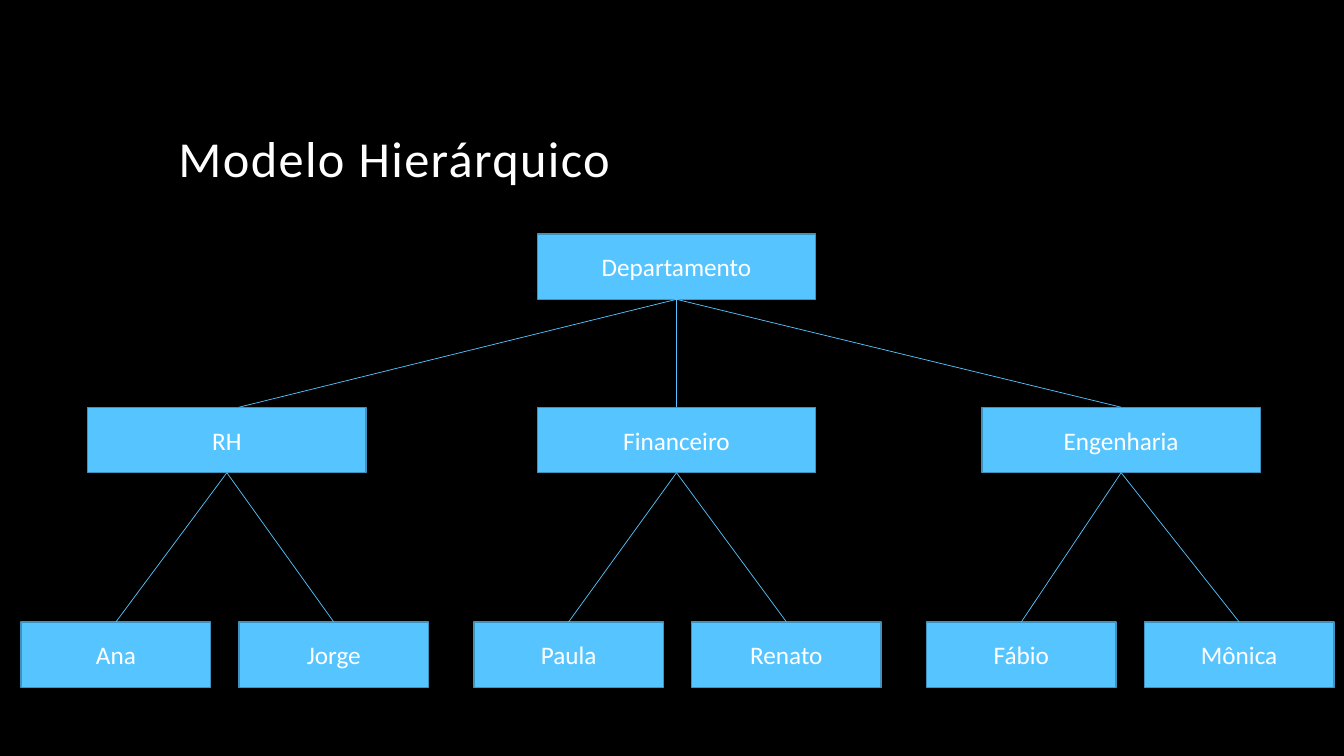
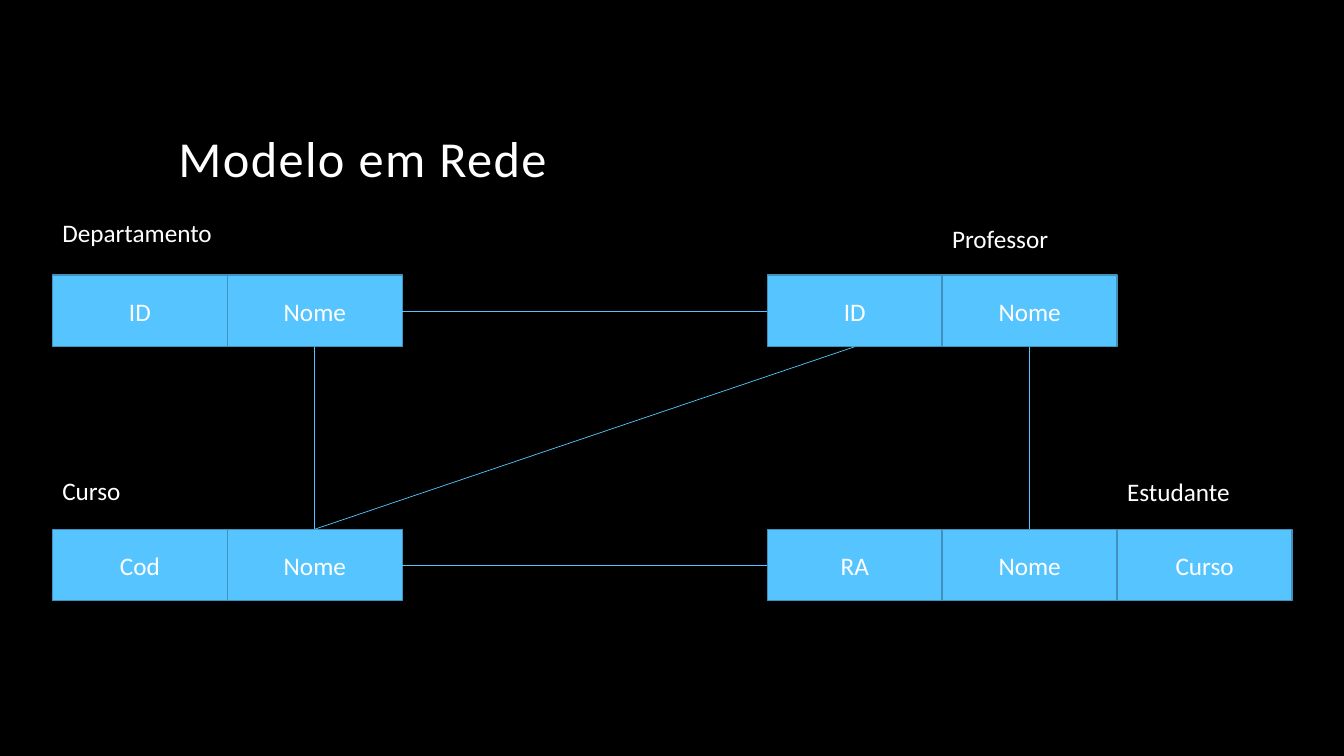
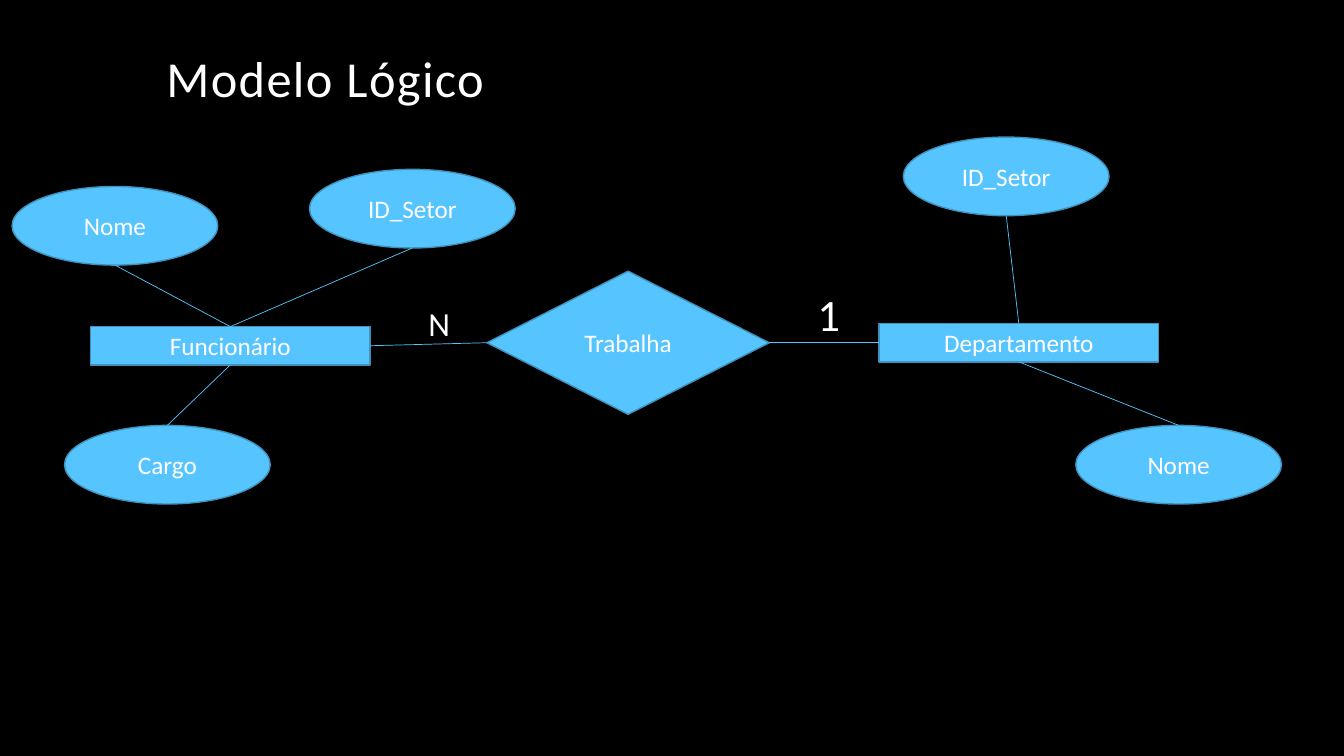
from dataclasses import dataclass

from lxml import etree
from pptx import Presentation
from pptx.dml.color import RGBColor
from pptx.enum import shapes as kinds, text as txt
from pptx.oxml.ns import qn
from pptx.util import Inches, Pt

TOP, LEFT, BOTTOM, RIGHT = range(4)
RECT = kinds.MSO_SHAPE.RECTANGLE
OVAL = kinds.MSO_SHAPE.OVAL
DECISION = kinds.MSO_SHAPE.FLOWCHART_DECISION


@dataclass(frozen=True)
class Theme:
    background: RGBColor = RGBColor.from_string("000000")
    ink: RGBColor = RGBColor.from_string("FFFFFF")
    node: RGBColor = RGBColor.from_string("56C5FF")
    outline: RGBColor = RGBColor.from_string("4092BD")
    font: str = "Calibri"
    title_size: int = 36
    body_size: int = 18
    outline_width: float = 1
    link_width: float = 0.5
    title_box: tuple = (1.67, 0.42, 10, 1.5)


THEME = Theme()


def apply(target, **values):
    for name, value in values.items():
        setattr(target, name, value)


def write(frame, words, size, align=txt.PP_ALIGN.LEFT,
          anchor=txt.MSO_ANCHOR.TOP, wrap=True):
    """Fill a text frame with one styled run and return that run."""
    apply(frame, word_wrap=wrap, vertical_anchor=anchor)
    paragraph = frame.paragraphs[0]
    paragraph.alignment = align
    run = paragraph.add_run()
    run.text = words
    apply(run.font, name=THEME.font, size=Pt(size))
    run.font.color.rgb = THEME.ink
    return run


def titled_slide(deck, words, box=THEME.title_box):
    slide = deck.slides.add_slide(deck.slide_layouts.get_by_name("Title Only"))
    title = slide.shapes.title
    apply(title, **dict(zip(("left", "top", "width", "height"), map(Inches, box))))
    run = write(title.text_frame, words, THEME.title_size,
                anchor=txt.MSO_ANCHOR.BOTTOM)
    run.font._element.set("spc", "100")
    title.text_frame.auto_size = txt.MSO_AUTO_SIZE.NONE
    title.text_frame.paragraphs[0].line_spacing = 0.9
    return slide


def add_node(slide, words, box, kind=RECT):
    node = slide.shapes.add_shape(kind, *map(Inches, box))
    node.shadow.inherit = False
    node.fill.solid()
    node.fill.fore_color.rgb = THEME.node
    node.line.color.rgb = THEME.outline
    node.line.width = Pt(THEME.outline_width)
    write(node.text_frame, words, THEME.body_size,
          txt.PP_ALIGN.CENTER, txt.MSO_ANCHOR.MIDDLE)
    return node


def add_label(slide, words, box, size=THEME.body_size, wrap=True):
    label = slide.shapes.add_textbox(*map(Inches, box))
    write(label.text_frame, words, size, wrap=wrap)
    label.text_frame.auto_size = txt.MSO_AUTO_SIZE.SHAPE_TO_FIT_TEXT


def side_point(node, side):
    across = {LEFT: 0, RIGHT: 2}.get(side, 1)
    down = {TOP: 0, BOTTOM: 2}.get(side, 1)
    return node.left + node.width * across // 2, node.top + node.height * down // 2


def link(slide, start, start_side, end, end_side, end_shift=0):
    """Join two sides; end_shift moves the end along the side, in inches."""
    start_x, start_y = side_point(start, start_side)
    end_x, end_y = side_point(end, end_side)
    line = slide.shapes.add_connector(
        kinds.MSO_CONNECTOR.STRAIGHT, start_x, start_y,
        end_x + Inches(end_shift), end_y)
    line.line.color.rgb = THEME.node
    line.line.width = Pt(THEME.link_width)
    etree.SubElement(line._element.spPr, qn("a:effectLst"))
    # An oval numbers its eight sites differently, so only its top is joined.
    if start.auto_shape_type != OVAL or start_side == TOP:
        line.begin_connect(start, start_side)
    if not end_shift and (end.auto_shape_type != OVAL or end_side == TOP):
        line.end_connect(end, end_side)


def add_sector(slide, name, box, people, people_left):
    """Place a sector with its people in a row below it."""
    left, top, width, height = box
    sector = add_node(slide, name, box)
    for index, person in enumerate(people):
        person_box = (people_left + 2.16 * index, top + 2.13, 1.88, height)
        link(slide, sector, BOTTOM, add_node(slide, person, person_box), TOP)
    return sector


def hierarchical_slide(deck):
    slide = titled_slide(deck, "Modelo Hierárquico")
    width, height = 2.76, 0.65
    department = add_node(slide, "Departamento", (5.33, 2.32, width, height))
    sectors = (
        ("RH", 0.87, ("Ana", "Jorge"), 0.12),
        ("Financeiro", 5.33, ("Paula", "Renato"), 0),
        ("Engenharia", 9.74, ("Fábio", "Mônica"), 0),
    )
    for index, (name, left, people, shift) in enumerate(sectors):
        sector = add_sector(slide, name, (left, 4.04, width, height),
                            people, 0.21 + 4.49 * index)
        link(slide, department, BOTTOM, sector, TOP, shift)


def add_record(slide, name, corner, fields, label_column, label_rise):
    """Place a row of fields, with its name above one of the columns."""
    left, top = corner
    width, height = 1.735, 0.71
    add_label(slide, name,
              (left + label_column * width, top - label_rise, 2.6, 0.4))
    return [add_node(slide, field, (left + width * column, top, width, height))
            for column, field in enumerate(fields)]


def network_slide(deck):
    slide = titled_slide(deck, "Modelo em Rede")
    left, right, upper, lower = 0.52, 7.61, 2.73, 5.25
    department = add_record(slide, "Departamento", (left, upper),
                            ("ID", "Nome"), 0, 0.62)
    teacher = add_record(slide, "Professor", (right, upper),
                         ("ID", "Nome"), 1, 0.56)
    course = add_record(slide, "Curso", (left, lower),
                        ("Cod", "Nome"), 0, 0.58)
    student = add_record(slide, "Estudante", (right, lower),
                         ("RA", "Nome", "Curso"), 2, 0.57)
    for ends in (
        (department[1], BOTTOM, course[1], TOP),
        (course[1], RIGHT, student[0], LEFT),
        (student[1], TOP, teacher[1], BOTTOM),
        (department[1], RIGHT, teacher[0], LEFT),
        (course[1], TOP, teacher[0], BOTTOM),
    ):
        link(slide, *ends)


def add_entity(slide, name, corner, attributes):
    """Place an entity and its attributes, given as offsets from its corner."""
    left, top = corner
    entity = add_node(slide, name, (left, top, 2.77, 0.38))
    for attribute, across, down in attributes:
        oval = add_node(slide, attribute,
                        (left + across, top + down, 2.04, 0.78), OVAL)
        facing = (TOP, BOTTOM) if down < 0 else (BOTTOM, TOP)
        link(slide, entity, facing[0], oval, facing[1])
    return entity


def logical_slide(deck):
    slide = titled_slide(deck, "Modelo Lógico", (1.55, 0.36, 10, 0.77))
    works = add_node(slide, "Trabalha", (4.83, 2.69, 2.8, 1.42), DECISION)
    employee = add_entity(slide, "Funcionário", (0.9, 3.24), (
        ("Nome", -0.78, -1.39), ("ID_Setor", 2.17, -1.56), ("Cargo", -0.26, 0.98)))
    department = add_entity(slide, "Departamento", (8.72, 3.21), (
        ("ID_Setor", 0.24, -1.85), ("Nome", 1.95, 1.01)))
    link(slide, works, RIGHT, department, LEFT)
    link(slide, works, LEFT, employee, RIGHT)
    add_label(slide, "1", (8.01, 2.8, 0.4, 0.64), 32, wrap=False)
    add_label(slide, "N", (4.15, 2.96, 0.44, 0.51), 24, wrap=False)


def main():
    deck = Presentation()
    apply(deck, slide_width=Inches(13.33), slide_height=Inches(7.5))
    backdrop = deck.slide_master.background.fill
    backdrop.solid()
    backdrop.fore_color.rgb = THEME.background
    for build in (hierarchical_slide, network_slide, logical_slide):
        build(deck)
    deck.save("out.pptx")


if __name__ == "__main__":
    main()
